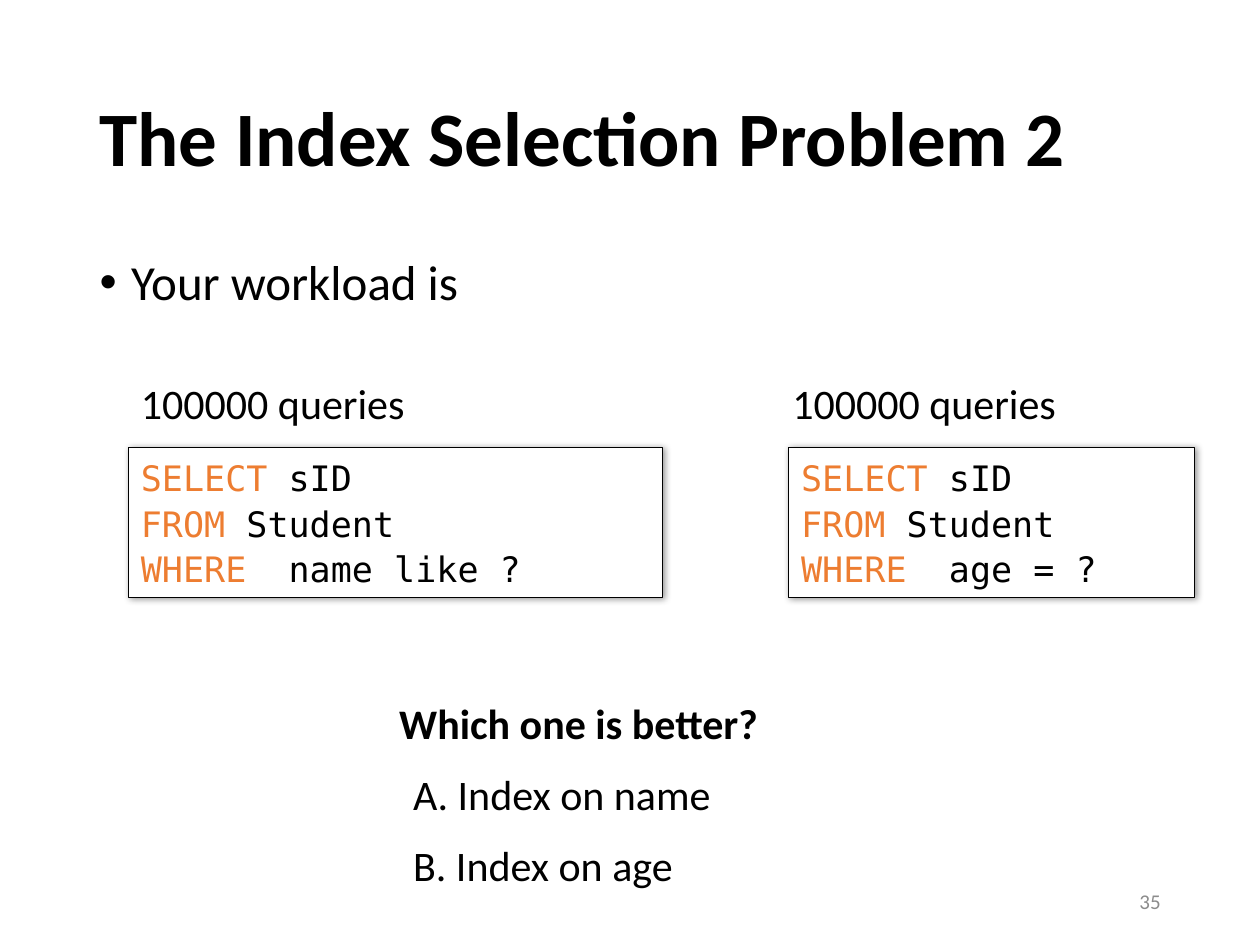
from lxml import etree
from pptx import Presentation
from pptx import util as u
from pptx.dml.color import RGBColor
from pptx.enum import shapes, text
from pptx.oxml import parse_xml
from pptx.oxml.ns import qn

PX = u.Inches(1) // 100
COLORS = {"ink": "000000", "keyword": "ED7D31", "paper": "FFFFFF", "number": "8C8C8C"}
BODY_FONT, CODE_FONT = "Calibri", "DejaVu Sans Mono"
SHADOW = (
    '<a:effectLst xmlns:a="http://schemas.openxmlformats.org/drawingml/2006/main">'
    '<a:outerShdw blurRad="50800" dist="12700" dir="2700000" algn="tl" rotWithShape="0">'
    '<a:srgbClr val="000000"><a:alpha val="40000"/></a:srgbClr>'
    "</a:outerShdw></a:effectLst>"
)


def px(box):
    """Turn px lengths into EMU."""
    return [u.Emu(length * PX) for length in box]


def rgb(name):
    """Look up a named colour."""
    return RGBColor.from_string(COLORS[name])


def set_all(target, values):
    """Set each named attribute of the target."""
    for name, value in values.items():
        setattr(target, name, value)


def write(paragraph, words, size, color="ink", font=BODY_FONT, bold=False):
    """Add a formatted run to a paragraph."""
    run = paragraph.add_run()
    run.text = words
    set_all(run.font, {"name": font, "size": u.Pt(size), "bold": bold})
    run.font.color.rgb = rgb(color)


def place(holder, box, anchor):
    """Move a placeholder and return its first paragraph."""
    set_all(holder, dict(zip(("left", "top", "width", "height"), px(box))))
    set_all(holder.text_frame, {"auto_size": text.MSO_AUTO_SIZE.NONE, "vertical_anchor": anchor})
    paragraph = holder.text_frame.paragraphs[0]
    set_all(paragraph, {"alignment": text.PP_ALIGN.LEFT, "line_spacing": 0.9, "space_before": u.Pt(0)})
    return paragraph


def heading(slide, box, words):
    """Fill the title placeholder."""
    write(place(slide.shapes.title, box, text.MSO_ANCHOR.MIDDLE), words, 44, bold=True)


def bullet_list(slide, box, words):
    """Fill the body placeholder with one bullet."""
    item = place(slide.placeholders[1], box, text.MSO_ANCHOR.TOP)
    properties = item._p.get_or_add_pPr()
    properties.set("marL", str(25 * PX))
    properties.set("indent", str(-25 * PX))
    etree.SubElement(properties, qn("a:buChar")).set("char", "•")
    write(item, words, 28)


def label(slide, box, words, bold=False):
    """Add a one-line label."""
    frame = slide.shapes.add_textbox(*px(box)).text_frame
    frame.word_wrap = False
    write(frame.paragraphs[0], words, 24, bold=bold)


def query(slide, box, lines):
    """Add a shadowed box of SQL lines."""
    panel = slide.shapes.add_shape(shapes.MSO_SHAPE.RECTANGLE, *px(box))
    panel.fill.solid()
    panel.fill.fore_color.rgb = rgb("paper")
    panel.line.color.rgb = rgb("ink")
    panel.line.width = u.Pt(0.75)
    panel._element.spPr.append(parse_xml(SHADOW))
    frame = panel.text_frame
    set_all(frame, {"word_wrap": True, "vertical_anchor": text.MSO_ANCHOR.TOP})
    for index, (keyword, rest) in enumerate(lines):
        line = frame.add_paragraph() if index else frame.paragraphs[0]
        set_all(line, {"alignment": text.PP_ALIGN.LEFT, "line_spacing": u.Pt(26)})
        write(line, keyword, 20, "keyword", CODE_FONT)
        write(line, rest, 20, font=CODE_FONT)


def workload(slide, left, top, panel_shift, panel_width, condition):
    """Add a query count above its query."""
    label(slide, (left, top, 231, 50), "100000 queries")
    lines = [("SELECT ", "sID"), ("FROM ", "Student"), ("WHERE  ", condition)]
    query(slide, (left + panel_shift, top + 60, panel_width, 119), lines)


def question(slide, left, top):
    """Add the question and its evenly spaced answers."""
    label(slide, (left, top, 309, 50), "Which one is better?", bold=True)
    answers = [("A. Index on name", 258), ("B. Index on age", 228)]
    for row, (answer, width) in enumerate(answers, 1):
        label(slide, (left + 11, top + 56 * row, width, 50), answer)


def page_number(slide, box, words):
    """Add the slide number."""
    frame = slide.shapes.add_textbox(*px(box)).text_frame
    set_all(frame, {"word_wrap": True, "vertical_anchor": text.MSO_ANCHOR.MIDDLE})
    frame.paragraphs[0].alignment = text.PP_ALIGN.RIGHT
    write(frame.paragraphs[0], words, 12, "number")


def main():
    """Build and save the slide."""
    deck = Presentation()
    deck.slide_width, deck.slide_height = px((1000, 750))
    slide = deck.slides.add_slide(deck.slide_layouts[1])
    heading(slide, (69, 40, 862, 145), "The Index Selection Problem 2")
    bullet_list(slide, (69, 200, 862, 476), "Your workload is")
    page_number(slide, (706, 695, 225, 40), "35")
    workload(slide, 102, 295, 0, 424, "name like ?")
    workload(slide, 619, 295, 7, 322, "age = ?")
    question(slide, 307, 549)
    deck.save("out.pptx")


if __name__ == "__main__":
    main()
